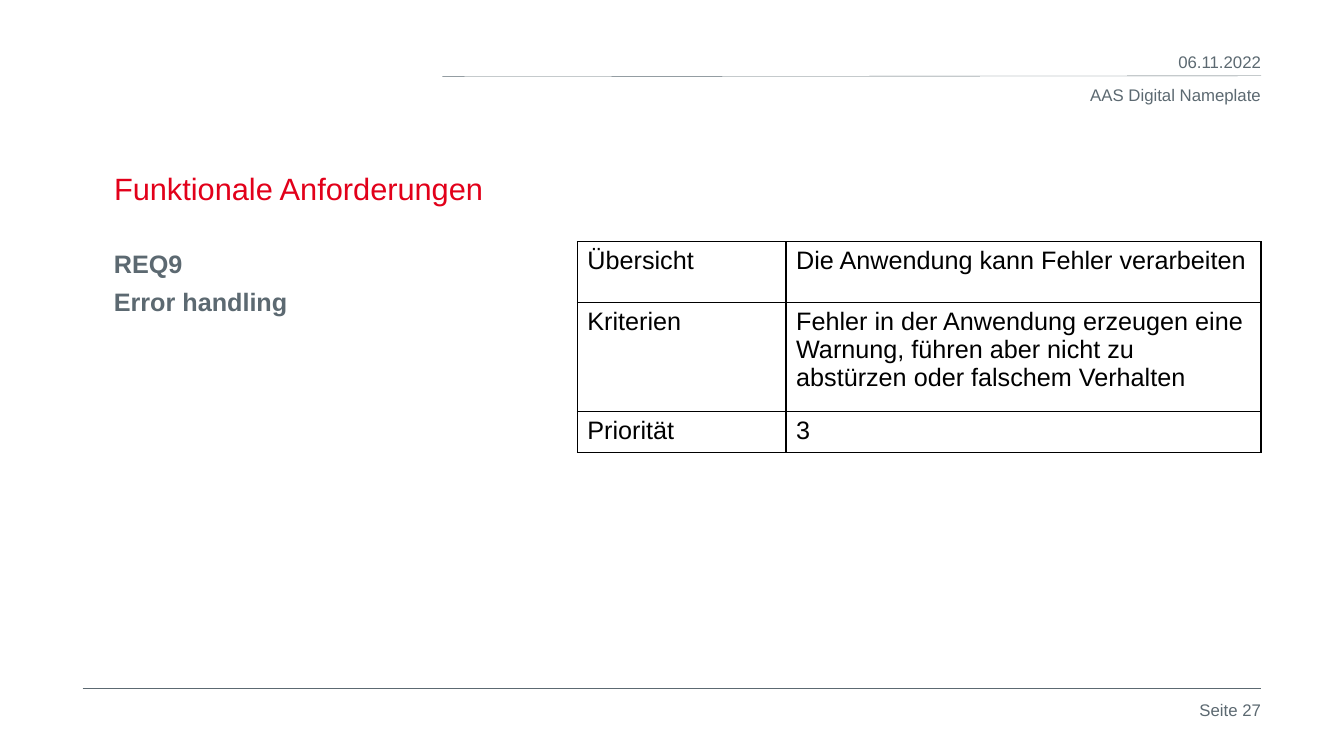
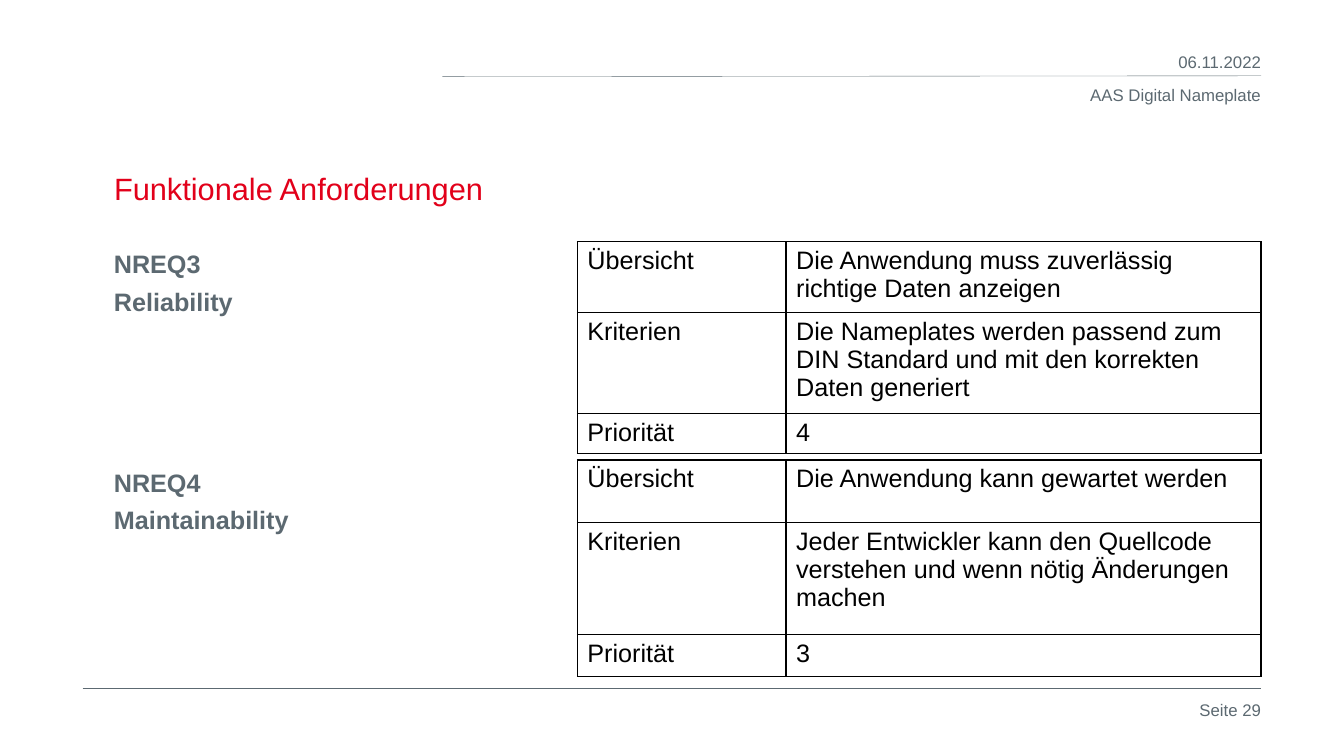
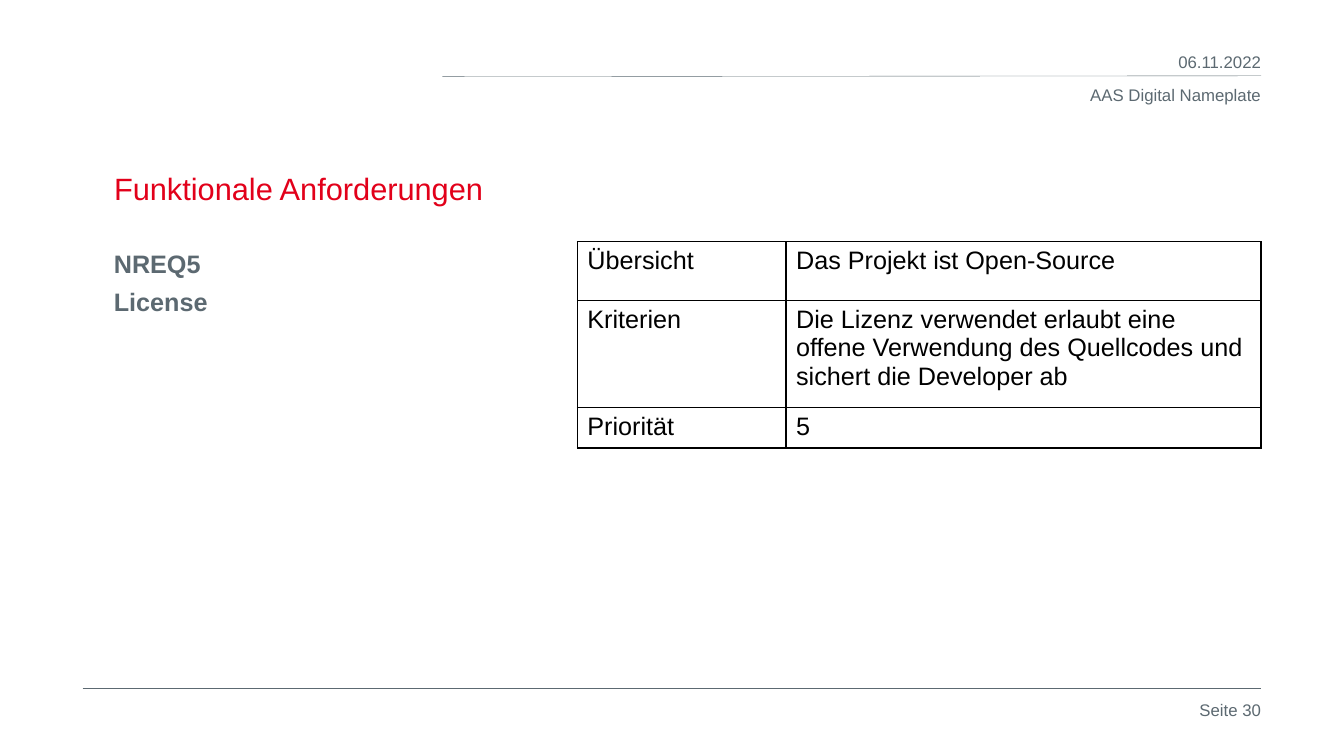
from lxml import etree
from pptx import Presentation
from pptx import util as u
from pptx.dml.color import RGBColor
from pptx.enum import shapes, text
from pptx.oxml import ns

RED = RGBColor(0xE2, 0x00, 0x1A)
SLATE = RGBColor(0x5C, 0x69, 0x71)
BLACK = RGBColor(0, 0, 0)

LEFT, TOP = text.PP_ALIGN.LEFT, text.MSO_ANCHOR.TOP
RIGHT, BOTTOM = text.PP_ALIGN.RIGHT, text.MSO_ANCHOR.BOTTOM
TITLE_FONT = {"name": "Arial", "size": u.Pt(22), "bold": False}
MARGIN_FONT = {"name": "Arial", "size": u.Pt(12), "bold": False}
LABEL_FONT = {"name": "Arial", "size": u.Pt(18), "bold": True}
CELL_FONT = {"name": "Arial", "size": u.Pt(18), "bold": False}

TITLE_BOX = (2.62, 3, 29.18, 2.34)
DATE_BOX = (25.3, 1.14, 6.73, 0.79)
PROJECT_BOX = (21.64, 2.01, 10.39, 1.27)
PAGE_BOX = (28.9, 17.5, 3.13, 1.27)
RULES = [(11.15, 1.93, 31.78, 1.91), (2.08, 17.35, 31.78, 17.35)]
LABEL_LEFT, LABEL_WIDTH, LABEL_HEIGHT, LABEL_DROP = 2.62, 11.35, 5.08, 0.05
TABLE_LEFT, TABLE_COLUMNS = 14.55, (5.26, 11.97)
UPPER, LOWER = 6.09, 11.59
ROW_TITLES = ("Übersicht", "Kriterien", "Priorität")

PAGES = [
    ("Seite 27", [
        (UPPER, ("REQ9", "Error handling"), (1.53, 2.75, 1.03), (
            "Die Anwendung kann Fehler verarbeiten",
            "Fehler in der Anwendung erzeugen eine Warnung, führen aber nicht zu "
            "abstürzen oder falschem Verhalten",
            "3")),
    ]),
    ("Seite 29", [
        (UPPER, ("NREQ3", "Reliability"), (1.68, 2.41, 0.97), (
            "Die Anwendung muss zuverlässig richtige Daten anzeigen",
            "Die Nameplates werden passend zum DIN Standard und mit den korrekten "
            "Daten generiert",
            "4")),
        (LOWER, ("NREQ4", "Maintainability"), (1.57, 2.82, 1.07), (
            "Die Anwendung kann gewartet werden",
            "Jeder Entwickler kann den Quellcode verstehen und wenn nötig "
            "Änderungen machen",
            "3")),
    ]),
    ("Seite 30", [
        (UPPER, ("NREQ5", "License"), (1.49, 2.69, 0.97), (
            "Das Projekt ist Open-Source",
            "Die Lizenz verwendet erlaubt eine offene Verwendung des Quellcodes und "
            "sichert die Developer ab",
            "5")),
    ]),
]


def write(frame, lines, font, colour, align=LEFT, anchor=TOP):
    frame.text = "\n".join(lines)
    frame.word_wrap = True
    frame.vertical_anchor = anchor
    for index, paragraph in enumerate(frame.paragraphs):
        paragraph.alignment = align
        paragraph.space_before = u.Pt(5 if index else 0)
        run_font = paragraph.runs[0].font
        for key, value in font.items():
            setattr(run_font, key, value)
        run_font.color.rgb = colour


def outline(cell):
    properties = cell._tc.get_or_add_tcPr()
    for side in ("a:lnL", "a:lnR", "a:lnT", "a:lnB"):
        border = etree.SubElement(properties, ns.qn(side), w=str(u.Pt(1)))
        fill = etree.SubElement(border, ns.qn("a:solidFill"))
        etree.SubElement(fill, ns.qn("a:srgbClr"), val=str(BLACK))
    cell.fill.background()


deck = Presentation()
deck.slide_width, deck.slide_height = u.Cm(33.87), u.Cm(19.05)

for page_number, requirements in PAGES:
    slide = deck.slides.add_slide(deck.slide_layouts[5])

    for ends in RULES:
        rule = slide.shapes.add_connector(
            shapes.MSO_CONNECTOR.STRAIGHT, *[u.Cm(end) for end in ends])
        rule.line.color.rgb = SLATE
        rule.line.width = u.Pt(0.25)
        etree.SubElement(rule._element.spPr, ns.qn("a:effectLst"))

    heading = slide.shapes.title
    for side, length in zip(("left", "top", "width", "height"), TITLE_BOX):
        setattr(heading, side, u.Cm(length))
    write(heading.text_frame, ["Funktionale Anforderungen"], TITLE_FONT, RED, anchor=BOTTOM)

    for box, words, anchor in (
        (DATE_BOX, "06.11.2022", BOTTOM),
        (PROJECT_BOX, "AAS Digital Nameplate", TOP),
        (PAGE_BOX, page_number, TOP),
    ):
        margin_note = slide.shapes.add_textbox(*[u.Cm(length) for length in box])
        write(margin_note.text_frame, [words], MARGIN_FONT, SLATE, RIGHT, anchor)

    for top, label_lines, row_heights, details in requirements:
        label = slide.shapes.add_textbox(
            u.Cm(LABEL_LEFT), u.Cm(top + LABEL_DROP), u.Cm(LABEL_WIDTH), u.Cm(LABEL_HEIGHT))
        write(label.text_frame, label_lines, LABEL_FONT, SLATE)

        requirement = slide.shapes.add_table(
            len(ROW_TITLES), len(TABLE_COLUMNS), u.Cm(TABLE_LEFT), u.Cm(top),
            u.Cm(sum(TABLE_COLUMNS)), u.Cm(sum(row_heights))).table
        requirement.first_row = requirement.horz_banding = False
        for column, width in zip(requirement.columns, TABLE_COLUMNS):
            column.width = u.Cm(width)
        for row, height, contents in zip(requirement.rows, row_heights, zip(ROW_TITLES, details)):
            row.height = u.Cm(height)
            for cell, words in zip(row.cells, contents):
                write(cell.text_frame, [words], CELL_FONT, BLACK)
                outline(cell)

deck.save("out.pptx")
